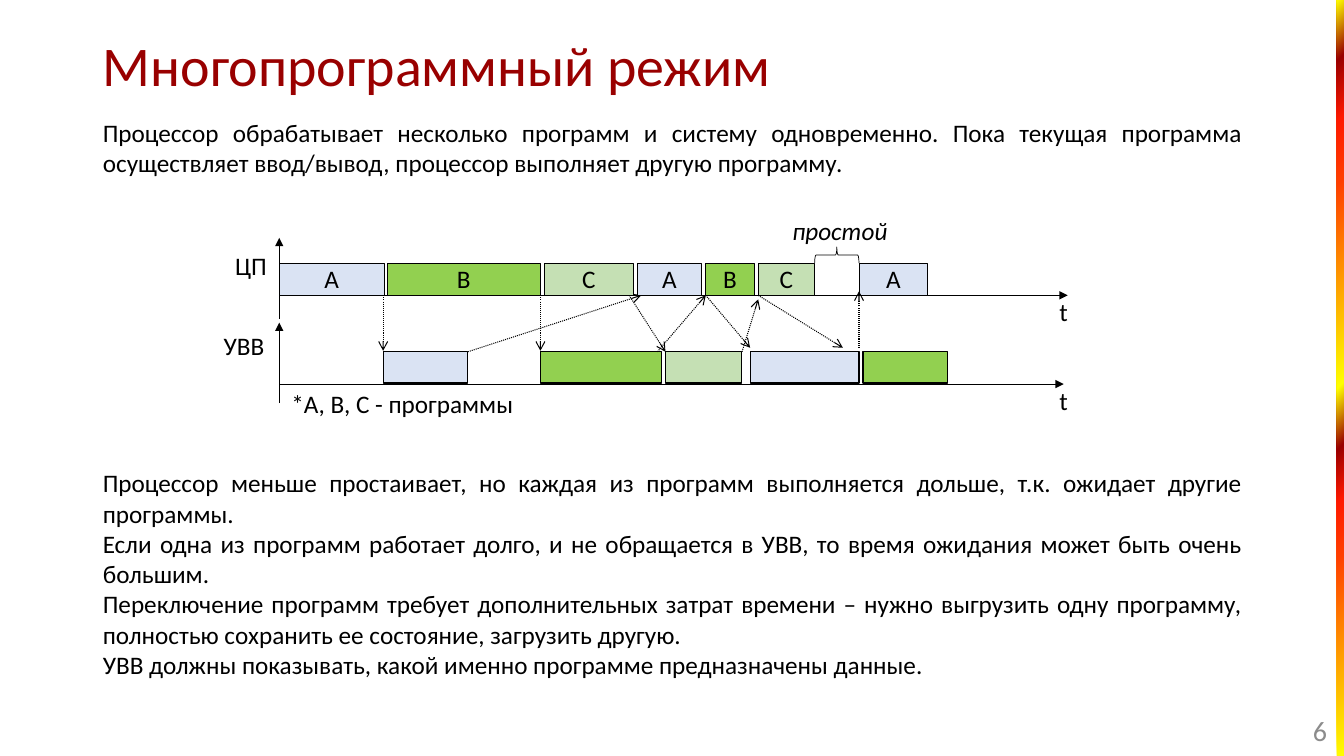
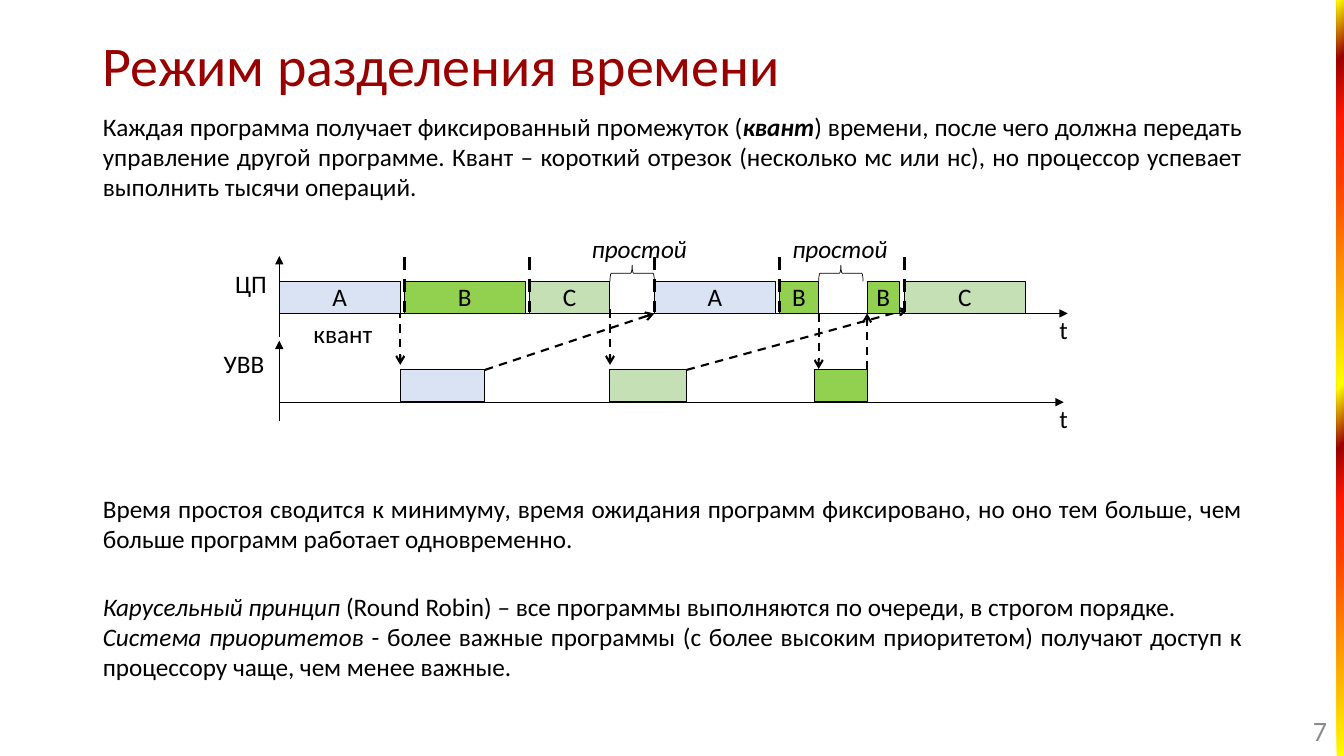
from lxml.etree import SubElement
from pptx import Presentation
from pptx.dml.color import RGBColor
from pptx.enum.dml import MSO_LINE
from pptx.enum.shapes import MSO_CONNECTOR, MSO_SHAPE
from pptx.enum.text import MSO_ANCHOR, MSO_AUTO_SIZE, PP_ALIGN
from pptx.oxml.ns import qn
from pptx.util import Emu, Pt

PX = 9144
FONT = "Calibri"
BLACK = RGBColor(0x00, 0x00, 0x00)
WHITE = RGBColor(0xFF, 0xFF, 0xFF)
GREY = RGBColor(0x8C, 0x8C, 0x8C)
DARK_RED = RGBColor(0x99, 0x00, 0x00)
RED = RGBColor(0xFF, 0x19, 0x00)
ORANGE = RGBColor(0xFF, 0x3D, 0x00)
YELLOW = RGBColor(0xFF, 0xFF, 0x00)
PROGRAM_COLOURS = {
    "A": RGBColor(0xDA, 0xE3, 0xF3),
    "B": RGBColor(0x92, 0xD0, 0x50),
    "C": RGBColor(0xC5, 0xE0, 0xB4),
}
BAND_STOPS = [
    (0, YELLOW), (27, ORANGE), (34, RED), (41, DARK_RED), (49, YELLOW),
    (76, ORANGE), (84, RED), (92, DARK_RED), (100, YELLOW),
]
PLAIN, ITALIC, BOLD_ITALIC = "", "i", "bi"
TEXT_LEFT, TEXT_WIDTH = 92, 1150
TIME_START = 277


def px(length):
    """Turn px into EMU."""
    return Emu(length * PX)


class Deck:
    """Holds the style, the current slide and the height of its time axis."""

    def __init__(self):
        """Start a wide presentation."""
        self.presentation = Presentation()
        self.presentation.slide_width = px(1333)
        self.presentation.slide_height = px(750)
        self.slide = None
        self.bodies = []
        self.axis = 0

    def new_slide(self, title, number):
        """Add a slide with its title, side band and number."""
        layout = self.presentation.slide_layouts[3]
        self.slide = self.presentation.slides.add_slide(layout)
        title_shape, *self.bodies = self.slide.placeholders
        self.band()
        self.place(title_shape, TEXT_LEFT, 15, TEXT_WIDTH, 106)
        frame = title_shape.text_frame
        frame.text = title
        frame.auto_size = MSO_AUTO_SIZE.NONE
        frame.vertical_anchor = MSO_ANCHOR.MIDDLE
        frame.paragraphs[0].line_spacing = 0.9
        self.style(frame.paragraphs[0], 40, DARK_RED)
        number_box = self.label(str(number), 1220, 705, 106, 40)
        number_box.text_frame.vertical_anchor = MSO_ANCHOR.MIDDLE
        self.style(number_box.text_frame.paragraphs[0], 20, GREY, PP_ALIGN.RIGHT)

    def place(self, shape, left, top, width, height):
        """Move and size a shape."""
        shape.left, shape.top = px(left), px(top)
        shape.width, shape.height = px(width), px(height)

    def style(self, paragraph, size=18, colour=BLACK, align=PP_ALIGN.LEFT):
        """Format a paragraph and all its runs."""
        paragraph.alignment = align
        for run in paragraph.runs:
            run.font.name = FONT
            run.font.size = Pt(size)
            run.font.color.rgb = colour

    def shape(self, kind, left, top, width, height, fill=None, line=None):
        """Draw a preset shape without shadow."""
        shape = self.slide.shapes.add_shape(kind, px(left), px(top), px(width), px(height))
        shape.shadow.inherit = False
        if fill is None:
            shape.fill.background()
        else:
            shape.fill.solid()
            shape.fill.fore_color.rgb = fill
        if line is None:
            shape.line.fill.background()
        else:
            shape.line.color.rgb = BLACK
            shape.line.width = Pt(line)
        return shape

    def band(self):
        """Draw the gradient band on the right edge."""
        band = self.shape(MSO_SHAPE.RECTANGLE, 1326, 0, 7, 750)
        band.fill.gradient()
        gradient = band.element.spPr.find(qn("a:gradFill"))
        for child in list(gradient):
            gradient.remove(child)
        stops = SubElement(gradient, qn("a:gsLst"))
        for position, colour in BAND_STOPS:
            stop = SubElement(stops, qn("a:gs"), pos=str(position * 1000))
            SubElement(stop, qn("a:srgbClr"), val=str(colour))
        SubElement(gradient, qn("a:lin"), ang=str(225 * 60000), scaled="0")

    def passage(self, top, height, paragraphs):
        """Fill the next body placeholder with justified paragraphs."""
        body = self.bodies.pop(0)
        self.place(body, TEXT_LEFT, top, TEXT_WIDTH, height)
        frame = body.text_frame
        frame.auto_size = MSO_AUTO_SIZE.NONE
        for index, segments in enumerate(paragraphs):
            paragraph = frame.add_paragraph() if index else frame.paragraphs[0]
            for text, emphasis in segments:
                run = paragraph.add_run()
                run.text = text
                run.font.bold = "b" in emphasis
                run.font.italic = "i" in emphasis
            self.style(paragraph, align=PP_ALIGN.JUSTIFY)
            paragraph.space_before = Pt(0)
            properties = paragraph._p.get_or_add_pPr()
            properties.set("marL", "0")
            properties.set("indent", "0")
            SubElement(properties, qn("a:buNone"))
        return frame

    def label(self, text, left, top, width, height, italic=False):
        """Write a one-line text box."""
        box = self.slide.shapes.add_textbox(px(left), px(top), px(width), px(height))
        box.text_frame.text = text
        box.text_frame.word_wrap = False
        paragraph = box.text_frame.paragraphs[0]
        self.style(paragraph)
        paragraph.font.italic = italic
        paragraph.runs[0].font.italic = italic
        return box

    def block(self, left, top, width, height, fill, text="", line=None, align=PP_ALIGN.CENTER):
        """Draw a filled rectangle with tight text."""
        block = self.shape(MSO_SHAPE.RECTANGLE, left, top, width, height, fill, line)
        if text:
            frame = block.text_frame
            frame.text = text
            frame.margin_left = frame.margin_right = 0
            frame.margin_top = frame.margin_bottom = 0
            frame.vertical_anchor = MSO_ANCHOR.TOP
            self.style(frame.paragraphs[0], align=align)

    def processor(self, blocks):
        """Draw lettered blocks on the processor axis."""
        for left, width, program in blocks:
            self.block(left, self.axis - 32, width, 32, PROGRAM_COLOURS[program], program, 0.75)

    def device(self, blocks):
        """Draw blank blocks on the device axis."""
        for left, width, program in blocks:
            self.block(left, self.axis + 56, width, 31, PROGRAM_COLOURS[program], line=0.75)

    def line(self, start, end, width=0.75, dash=None, arrow=None):
        """Draw a line between points measured from the processor axis."""
        connector = self.slide.shapes.add_connector(
            MSO_CONNECTOR.STRAIGHT,
            px(start[0]), px(self.axis + start[1]), px(end[0]), px(self.axis + end[1]))
        connector.line.color.rgb = BLACK
        connector.line.width = Pt(width)
        if dash:
            connector.line.dash_style = dash
        properties = connector.element.spPr
        if arrow:
            SubElement(properties.find(qn("a:ln")), qn("a:tailEnd"), type=arrow)
        SubElement(properties, qn("a:effectLst"))

    def arrows(self, ends, width, dash):
        """Draw the switching arrows."""
        for start, end in ends:
            self.line(start, end, width, dash, "arrow")

    def timeline(self, axis):
        """Draw the two time axes with their names."""
        self.axis = axis
        self.block(217, axis + 35, 50, 25, WHITE, "УВВ")
        self.block(229, axis - 45, 40, 25, WHITE, "ЦП")
        for drop, start in ((0, TIME_START + 4), (88, TIME_START)):
            self.block(1035, axis + drop + 1, 40, 25, WHITE, "t")
            self.line((start, drop), (start + 778, drop), arrow="triangle")
        for bottom in (23, 107):
            self.line((TIME_START, bottom), (TIME_START, bottom - 80), arrow="triangle")

    def idle(self, brace_left, label_left):
        """Mark an idle stretch with a brace and its name."""
        brace = self.shape(MSO_SHAPE.RIGHT_BRACE, brace_left, self.axis - 62, 16, 44, line=0.5)
        brace.rotation = 270
        self.label("простой", label_left, self.axis - 84, 116, 40, italic=True)


def multiprogram_slide(deck):
    """Build the multiprogramming slide."""
    deck.new_slide("Многопрограммный режим", 6)
    deck.passage(111, 71, [[(
        "Процессор обрабатывает несколько программ и систему одновременно. Пока текущая "
        "программа осуществляет ввод/вывод, процессор выполняет другую программу.", PLAIN)]])
    deck.timeline(293)
    deck.block(289, 385, 495, 32, WHITE, "*A, B, C - программы", align=PP_ALIGN.LEFT)
    deck.arrows([((464, 56), (636, 0))], 0.75, MSO_LINE.ROUND_DOT)
    deck.processor([
        (277, 104, "A"), (384, 152, "B"), (540, 88, "C"), (632, 64, "A"),
        (700, 48, "B"), (752, 56, "C"), (852, 68, "A")])
    deck.device([
        (380, 84, "A"), (536, 120, "B"), (660, 76, "C"), (744, 108, "A"), (856, 84, "B")])
    deck.arrows([
        ((380, 0), (380, 55)), ((536, 0), (536, 55)), ((624, 0), (660, 56)),
        ((652, 56), (700, 0)), ((700, 0), (744, 52)), ((736, 56), (752, 4)),
        ((752, 0), (836, 52)), ((852, 52), (852, -4))], 0.75, MSO_LINE.ROUND_DOT)
    deck.idle(822, 776)
    deck.passage(459, 222, [[(text, PLAIN)] for text in (
        "Процессор меньше простаивает, но каждая из программ выполняется дольше, т.к. "
        "ожидает другие программы.",
        "Если одна из программ работает долго, и не обращается в УВВ, то время ожидания "
        "может быть очень большим.",
        "Переключение программ требует дополнительных затрат времени – нужно выгрузить "
        "одну программу, полностью сохранить ее состояние, загрузить другую.",
        "УВВ должны показывать, какой именно программе предназначены данные.")])


def time_sharing_slide(deck):
    """Build the time-sharing slide."""
    deck.new_slide("Режим разделения времени", 7)
    deck.passage(105, 101, [[
        ("Каждая программа получает фиксированный промежуток (", PLAIN),
        ("квант", BOLD_ITALIC),
        (") времени, после чего должна передать управление другой программе. Квант – "
         "короткий отрезок (несколько мс или нс), но процессор успевает выполнить тысячи "
         "операций.", PLAIN)]])
    deck.timeline(311)
    quanta = [TIME_START + 124 * index for index in range(6)]
    deck.arrows([
        ((397, -4), (397, 51)), ((481, 56), (649, 0)), ((605, -4), (605, 51)),
        ((681, 56), (900, -4)), ((812, 0), (812, 55)), ((860, 56), (860, 0))],
        1.5, MSO_LINE.DASH)
    deck.processor([
        (quanta[0], 120, "A"), (quanta[1], 120, "B"), (quanta[2], 80, "C"),
        (quanta[3], 120, "A"), (quanta[4], 39, "B"), (860, 32, "B"), (quanta[5], 120, "C")])
    deck.device([(397, 84, "A"), (605, 76, "C"), (808, 52, "B")])
    deck.idle(619, 577)
    deck.idle(826, 776)
    for boundary in quanta[1:]:
        deck.line((boundary, -56), (boundary, -1), 2.25, MSO_LINE.DASH)
    deck.label("квант", 301, 311, 79, 40)
    frame = deck.passage(484, 199, [
        [("Время простоя сводится к минимуму, время ожидания программ фиксировано, но оно "
          "тем больше, чем больше программ работает одновременно.", PLAIN)],
        [("Карусельный принцип ", ITALIC),
         ("(Round Robin) – все программы выполняются по очереди, в строгом порядке.", PLAIN)],
        [("Система приоритетов ", ITALIC),
         ("- более важные программы (с более высоким приоритетом) получают доступ к "
          "процессору чаще, чем менее важные.", PLAIN)]])
    frame.paragraphs[1].space_before = Pt(27)


def main():
    """Build and save the presentation."""
    deck = Deck()
    multiprogram_slide(deck)
    time_sharing_slide(deck)
    deck.presentation.save("out.pptx")


if __name__ == "__main__":
    main()
